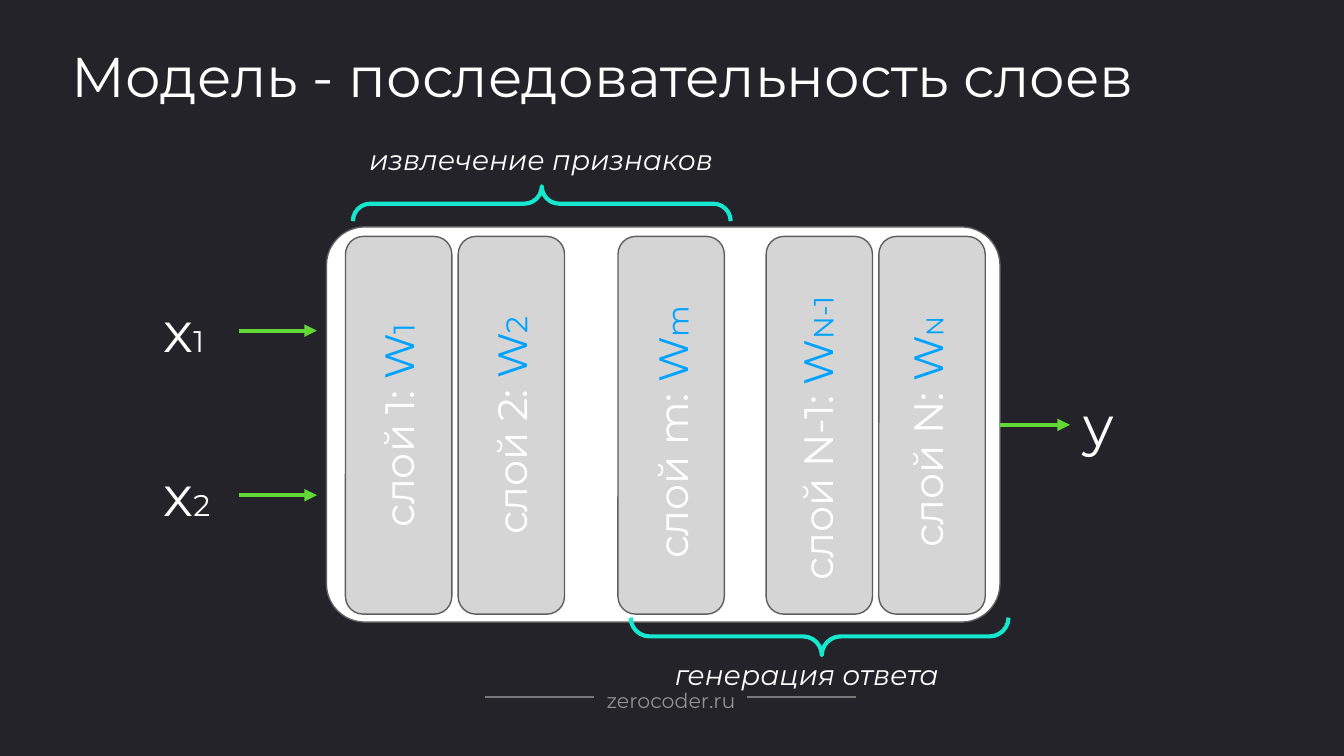
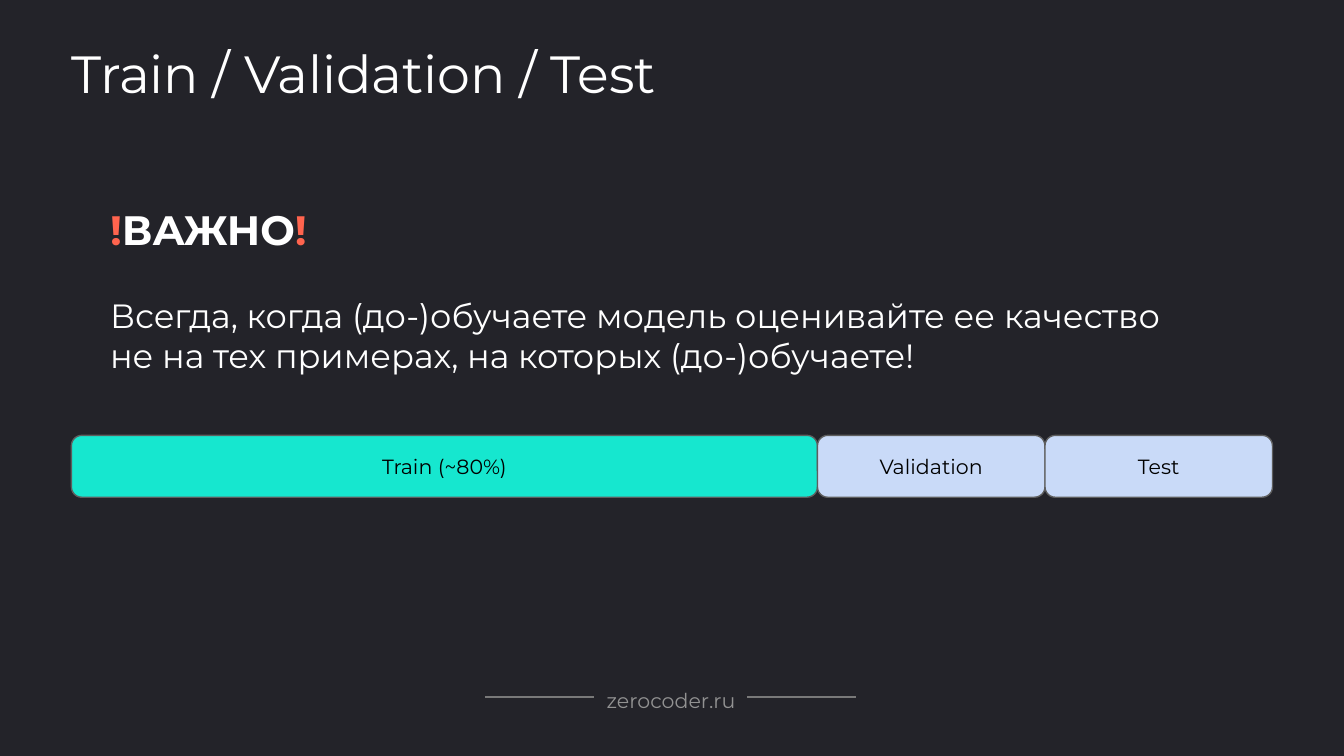
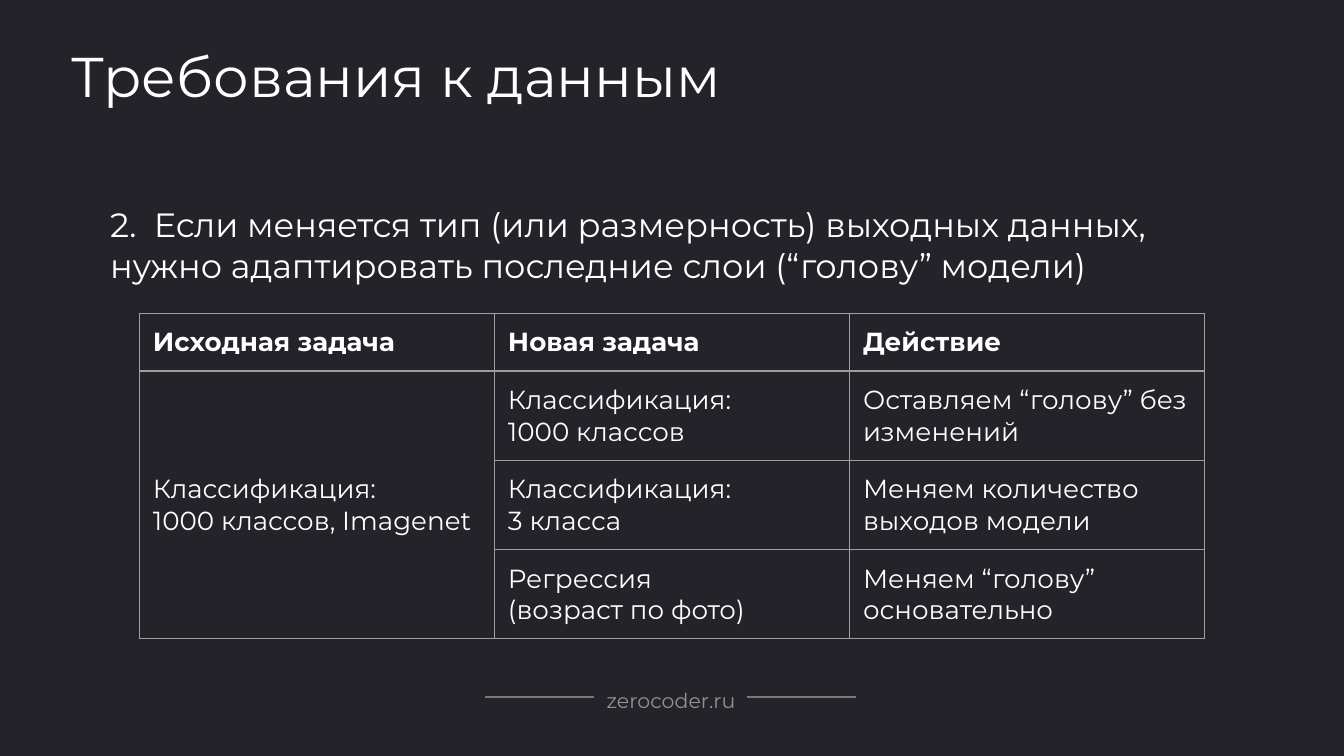
from dataclasses import dataclass
from itertools import accumulate

from lxml import etree
from pptx import Presentation
from pptx import util as u
from pptx.dml import color as dml
from pptx.enum import shapes as es, text as et
from pptx.oxml import ns


@dataclass(frozen=True)
class Theme:
    font: str = "Montserrat"
    back: str = "232329"
    white: str = "FFFFFF"
    black: str = "000000"
    foot: str = "929292"
    rule: str = "797979"
    edge: str = "5E5E5E"
    grid: str = "9E9E9E"
    layer: str = "D5D5D5"
    weight: str = "00A2FF"
    green: str = "61D836"
    mint: str = "16E7CF"
    pale: str = "C9DAF8"
    alert: str = "FF644E"
    title: int = 30
    head: int = 22
    body: int = 18
    sub: int = 16
    note: int = 15
    cell: int = 14
    small: int = 11
    pad: float = 0.25


T = Theme()
CENTER = et.PP_ALIGN.CENTER
MIDDLE = et.MSO_ANCHOR.MIDDLE
ROUND = es.MSO_SHAPE.ROUNDED_RECTANGLE


def rgb(code):
    return dml.RGBColor.from_string(code)


def box(*sizes):
    return [u.Cm(size) for size in sizes]


def node(parent, tag, **attrs):
    return etree.SubElement(parent, ns.qn(tag), **attrs)


# Text: a line is a list of (words, size, colour) runs

def style(run, size, color, bold=False, italic=False):
    font = run.font
    font.name, font.size, font.color.rgb = T.font, u.Pt(size), rgb(color)
    font.bold, font.italic = bold, italic


def write(frame, lines, align=None, anchor=et.MSO_ANCHOR.TOP, pad=T.pad, **look):
    frame.word_wrap = True
    frame.vertical_anchor = anchor
    frame.margin_left = frame.margin_right = u.Cm(pad)
    frame.margin_top = frame.margin_bottom = u.Cm(pad)
    for i, line in enumerate(lines):
        para = frame.add_paragraph() if i else frame.paragraphs[0]
        para.alignment = align
        for words, size, color in line:
            run = para.add_run()
            run.text = words
            style(run, size, color, **look)


def label(slide, place, lines, **look):
    item = slide.shapes.add_textbox(*box(*place))
    write(item.text_frame, lines, **look)
    item.text_frame.auto_size = et.MSO_AUTO_SIZE.SHAPE_TO_FIT_TEXT
    return item


# Lines and shapes

def line(slide, x, y, width, color, points, arrow=False):
    item = slide.shapes.add_connector(
        es.MSO_CONNECTOR.STRAIGHT, *box(x, y, x + width, y))
    item.line.color.rgb, item.line.width = rgb(color), u.Pt(points)
    if arrow:
        node(item.line._get_or_add_ln(), "a:tailEnd", type="triangle")
    node(item._element.spPr, "a:effectLst")


def shape(slide, kind, place, fill, edge, points, adjust):
    item = slide.shapes.add_shape(kind, *box(*place))
    item.shadow.inherit = False
    if fill:
        item.fill.solid()
        item.fill.fore_color.rgb = rgb(fill)
    else:
        item.fill.background()
    item.line.color.rgb, item.line.width = rgb(edge), u.Pt(points)
    for i, value in enumerate(adjust):
        item.adjustments[i] = value
    return item


def card(slide, place, fill, curve=0.167):
    return shape(slide, ROUND, place, fill, T.edge, 0.75, [curve])


# Shared parts of every slide

def footer(slide, x, y):
    label(slide, (x + 1.75, y, 3.53, 0.48), [[("zerocoder.ru", T.small, T.foot)]],
          align=CENTER, anchor=MIDDLE, pad=0
          ).text_frame.paragraphs[0].line_spacing = 1.2
    for dx in (0, 4.95):
        line(slide, x + dx, y + 0.23, 2.06, T.rule, 1)


def page(deck, title, size=T.title):
    slide = deck.slides.add_slide(deck.slide_layouts[6])
    slide.background.fill.solid()
    slide.background.fill.fore_color.rgb = rgb(T.back)
    footer(slide, 9.17, 12.95)
    label(slide, (1.27, 0.69, 23.88, size * 0.0484), [[(title, size, T.white)]],
          anchor=MIDDLE, pad=0.08)
    return slide


# Slide 1: the network as a row of layers

def ports(slide, x, y):
    for name, sub, dx, dy, width in (("y", "", 17.38, 1.78, 1.68),
                                     ("x", "1", 0, 0, 1.68),
                                     ("x", "2", 0, 3.1, 2.01)):
        runs = [(name, T.title, T.white)]
        if sub:
            runs.append((sub, T.sub, T.white))
        label(slide, (x + dx, y + dy, width, 1.8), [runs])
    for dx, dy, size in ((16.06, 2.67, 1.32), (1.68, 0.89, 1.47), (1.68, 4, 1.47)):
        line(slide, x + dx, y + dy, size, T.green, 2.25, arrow=True)


def layers(slide, x, y):
    wide, tall, long, high = 2.01, 7.14, 6.32, 1.45
    rows = (  # left, name, size of the index, shift of the label
        (0, "1", T.sub, 0, 0),
        (2.13, "2", T.sub, 0, 0),
        (5.15, "m", T.sub, 0.03, 0.13),
        (7.95, "N-1", 15, -0.03, 0.25),
        (10.08, "N", 13, -0.08, 0.13))
    for left, *_ in rows:
        card(slide, (x + left, y, wide, tall), T.layer)
    for left, name, size, dx, dy in rows:
        place = (x + left + (wide - long) / 2 + dx,
                 y + (tall - high) / 2 + dy, long, high)
        runs = [(f"слой {name}: ", T.head, T.white),
                ("W", T.head, T.weight), (name, size, T.weight)]
        label(slide, place, [runs], align=CENTER).rotation = 270


def brace(slide, x, y, deep, tip=0.5, down=False):
    """Horizontal brace centred on x, y."""
    long = 7.14
    item = shape(slide, es.MSO_SHAPE.RIGHT_BRACE,
                 (x - deep / 2, y - long / 2, deep, long),
                 None, T.mint, 2.25, [0.5, tip])
    item.rotation = 270
    if down:
        item._element.spPr.get_or_add_xfrm().set("flipH", "1")


def note(slide, place, words):
    label(slide, place, [[(words, T.note, T.white)]], align=CENTER, italic=True)


def model(deck):
    slide = page(deck, "Модель - последовательность слоев")
    x, y = 6.17, 4.29
    card(slide, (x, y, 12.73, 7.47), T.white, 0.097)
    ports(slide, 2.84, 5.36)
    layers(slide, x + 0.36, y + 0.18)
    brace(slide, x + 4.07, y - 0.44, 0.66)
    note(slide, (x - 0.18, y - 1.85, 8.48, 1.14), "извлечение признаков")
    note(slide, (x + 5.51, y + 7.88, 7.14, 1.14), "генерация ответа")
    brace(slide, x + 9.32, y + 7.74, 0.71, 0.506, down=True)


# Slide 2: the split of the data

def split(slide, x, y):
    parts = (("Train (~80%)", 14.1, T.mint),
             ("Validation", 4.3, T.pale), ("Test", 4.3, T.pale))
    ends = accumulate(width for _, width, _ in parts)
    for (words, width, fill), end in zip(parts, ends):
        item = card(slide, (x + end - width, y, width, 1.17), fill)
        write(item.text_frame, [[(words, T.small, T.black)]],
              align=CENTER, anchor=MIDDLE)


def rule(deck):
    slide = page(deck, "Train / Validation / Test", 28)
    text = label(slide, (1.83, 3.61, 21.11, 3.76), [
        [("!", T.head, T.alert), ("ВАЖНО", T.head, T.white), ("!", T.head, T.alert)],
        [("Всегда, когда (до-)обучаете модель оценивайте ее качество "
          "не на тех примерах, на которых (до-)обучаете!", T.body, T.white)]])
    head, body = text.text_frame.paragraphs
    for run in head.runs:
        run.font.bold = True
    body.space_before = u.Pt(22)
    split(slide, 1.35, 8.23)


# Slide 3: tasks and actions

def border(cell):
    props = cell._tc.get_or_add_tcPr()
    for i, side in enumerate("LRTB"):
        edge = etree.Element(ns.qn(f"a:ln{side}"), w=str(u.Pt(0.75)))
        node(node(edge, "a:solidFill"), "a:srgbClr", val=T.grid)
        props.insert(i, edge)


def tasks(slide, x, y):
    rows = (
        ("Исходная задача", "Новая задача", "Действие"),
        ("Классификация:\n1000 классов, Imagenet",
         "Классификация:\n1000 классов", "Оставляем “голову” без изменений"),
        ("", "Классификация:\n3 классa", "Меняем количество выходов модели"),
        ("", "Регрессия\n(возраст по фото)", "Меняем “голову” основательно"))
    wide, tall = 6.71, 1.07
    grid = slide.shapes.add_table(
        4, 3, *box(x, y, 3 * wide, 4 * tall)).table
    grid.first_row = grid.horz_banding = False
    for i, row in enumerate(rows):
        for j, words in enumerate(row):
            cell = grid.cell(i, j)
            cell.fill.background()
            border(cell)
            cell.margin_left = cell.margin_right = u.Cm(T.pad)
            cell.margin_top = cell.margin_bottom = u.Cm(T.pad)
            cell.text_frame.text = words
            for para in cell.text_frame.paragraphs:
                for run in para.runs:
                    style(run, T.cell, T.white, bold=i == 0)
    first = grid.cell(1, 0)
    first.merge(grid.cell(3, 0))
    first.vertical_anchor = MIDDLE


def needs(deck):
    slide = page(deck, "Требования к данным")
    text = label(slide, (1.83, 3.61, 21.11, 2.06), [[
        ("2.\tЕсли меняется тип (или размерность) выходных данных, "
         "нужно адаптировать последние слои (“голову” модели)", T.body, T.white)]])
    # Tab stop after the number
    props = text.text_frame.paragraphs[0]._p.get_or_add_pPr()
    node(node(props, "a:tabLst"), "a:tab", pos=str(u.Cm(0.83)), algn="l")
    tasks(slide, 2.64, 5.92)


def main():
    deck = Presentation()
    deck.slide_width, deck.slide_height = box(25.4, 14.29)
    for build in (model, rule, needs):
        build(deck)
    deck.save("out.pptx")


if __name__ == "__main__":
    main()
